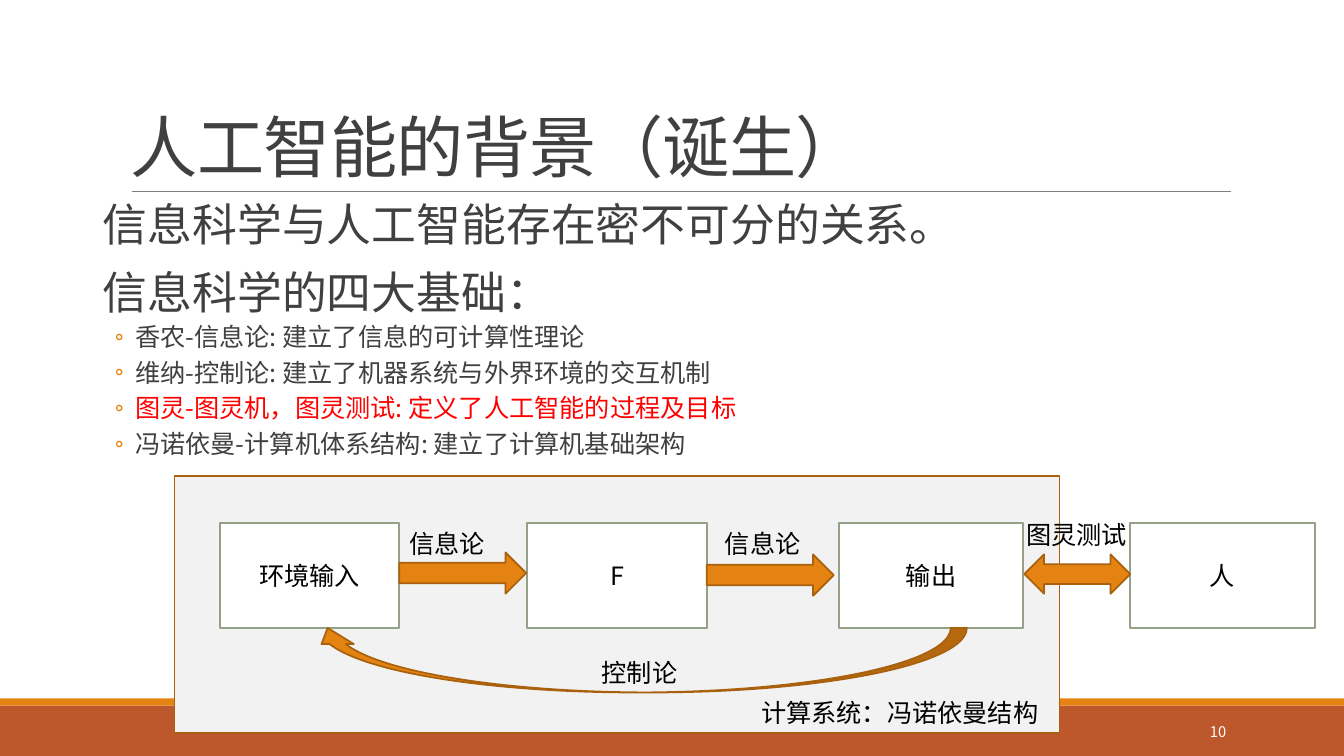
import pptx
import pptx.util
import pptx.dml.color
import pptx.enum.shapes
import pptx.enum.text
import pptx.oxml
import pptx.oxml.ns
import lxml.etree

PX = 9144  # EMU in one px, 100 px to the inch
KIND = pptx.enum.shapes.MSO_SHAPE
ALIGN = pptx.enum.text.PP_ALIGN
ANCHOR = pptx.enum.text.MSO_ANCHOR
FONT = "Noto Sans CJK SC"
ORANGE, RUST, EDGE, SAGE = "E48312", "BD582C", "A9610D", "94A088"
INK, GREY, RED, WHITE = "000000", "404040", "FF0000", "FFFFFF"


def px(num):
    return pptx.util.Emu(num * PX)


def rgb(code):
    return pptx.dml.color.RGBColor.from_string(code)


def child(node, tag, **attrs):
    return lxml.etree.SubElement(node, pptx.oxml.ns.qn(tag), attrs)


class Page:
    def __init__(self, deck):
        self.slide = deck.slides.add_slide(deck.slide_layouts[6])
        self.shapes = self.slide.shapes

    def style(self, para, size, color, align=ALIGN.LEFT):
        para.alignment = align
        for run in para.runs:
            run.font.size = pptx.util.Pt(size)
            run.font.name = FONT
            run.font.color.rgb = rgb(color)
            child(run.font._element, "a:ea", typeface=FONT)

    def shape(self, kind, area, fill, edge=None):
        item = self.shapes.add_shape(kind, *map(px, area))
        item.shadow.inherit = False
        item.fill.solid()
        item.fill.fore_color.rgb = rgb(fill)
        if edge:
            item.line.color.rgb = rgb(edge)
            item.line.width = pptx.util.Pt(1.25)
        else:
            item.line.fill.background()
        return item

    def box(self, text, left, width):
        item = self.shape(KIND.RECTANGLE, (left, 519, width, 104), WHITE, SAGE)
        item.text_frame.text = text
        item.text_frame.vertical_anchor = ANCHOR.MIDDLE
        self.style(item.text_frame.paragraphs[0], 18, INK, ALIGN.CENTER)

    def arrow(self, kind, *area):
        return self.shape(kind, area, ORANGE, EDGE)

    def rule(self, left, right, top):
        line = self.shapes.add_connector(
            pptx.enum.shapes.MSO_CONNECTOR.STRAIGHT,
            px(left), px(top), px(right), px(top))
        line.line.color.rgb = rgb("808080")
        line.line.width = pptx.util.Pt(0.5)
        child(line._element.spPr, "a:effectLst")

    def text(self, text, area, size=18, color=INK, wrap=False,
             anchor=ANCHOR.TOP, align=ALIGN.LEFT):
        frame = self.shapes.add_textbox(*map(px, area)).text_frame
        frame.word_wrap = wrap
        frame.vertical_anchor = anchor
        frame.text = text
        self.style(frame.paragraphs[0], size, color, align)
        return frame

    def body(self, area, rows):
        frame = self.shapes.add_textbox(*map(px, area)).text_frame
        frame.word_wrap = True
        frame.margin_left = frame.margin_right = 0
        for num, (text, point, color) in enumerate(rows):
            para = frame.add_paragraph() if num else frame.paragraphs[0]
            para.text = text
            para.line_spacing = 0.9
            before, after = (2, 4) if point else (12, 2)
            para.space_before = pptx.util.Pt(before if num else 0)
            para.space_after = pptx.util.Pt(after)
            props = para._element.get_or_add_pPr()
            props.set("marL", str(px(42 if point else 10)))
            props.set("indent", str(px(-20 if point else 0)))
            if point:
                tint = child(props, "a:buClr")
                child(tint, "a:srgbClr", val=ORANGE)
                child(props, "a:buFont", typeface="Calibri")
                child(props, "a:buChar", char="◦")
            self.style(para, 18 if point else 32, color)
            if point:
                # Bullets sit left of the text by the hanging indent
                para.level = 1


def main():
    deck = pptx.Presentation()
    deck.slide_width, deck.slide_height = px(1333), px(750)
    page = Page(deck)

    # Footer bands, title rule and system panel
    page.shape(KIND.RECTANGLE, (0, 700, 1333, 50), RUST)
    page.shape(KIND.RECTANGLE, (0, 693, 1333, 7), ORANGE)
    page.rule(131, 1221, 190)
    page.shape(KIND.RECTANGLE, (173, 472, 878, 255), "F2F2F2", EDGE)

    # Title and body
    title = page.text("人工智能的背景（诞生）", (120, 31, 1100, 159), 48, GREY,
                      True, ANCHOR.BOTTOM).paragraphs[0]
    title.line_spacing = 0.85
    title.runs[0].font._element.set("spc", "-50")
    page.body((92, 196, 1150, 499), [
        ("信息科学与人工智能存在密不可分的关系。", False, GREY),
        ("信息科学的四大基础：", False, GREY),
        ("香农-信息论: 建立了信息的可计算性理论", True, GREY),
        ("维纳-控制论: 建立了机器系统与外界环境的交互机制", True, GREY),
        ("图灵-图灵机，图灵测试: 定义了人工智能的过程及目标", True, RED),
        ("冯诺依曼-计算机体系结构: 建立了计算机基础架构", True, GREY),
    ])

    # Flow boxes
    for text, left, width in [("环境输入", 218, 178), ("F", 523, 178),
                              ("输出", 832, 183), ("人", 1121, 183)]:
        page.box(text, left, width)

    # Arrows
    page.arrow(KIND.RIGHT_ARROW, 396, 548, 126, 41)
    page.arrow(KIND.RIGHT_ARROW, 701, 550, 126, 41)
    page.arrow(KIND.LEFT_RIGHT_ARROW, 1016, 550, 105, 39)
    back = page.arrow(KIND.CURVED_UP_ARROW, 309, 623, 650, 64)
    back._element.spPr.find(pptx.oxml.ns.qn("a:xfrm")).set("flipH", "1")

    # Labels
    for text, left, top, width in [
            ("信息论", 396, 519, 95), ("信息论", 709, 519, 95),
            ("控制论", 587, 647, 96), ("图灵测试", 1008, 510, 120),
            ("计算系统：冯诺依曼结构", 745, 687, 295)]:
        page.text(text, (left, top, width, 40))

    # Page number
    page.text("10", (1083, 706, 143, 40), 10.5, WHITE, True,
              ANCHOR.MIDDLE, ALIGN.RIGHT)

    deck.save("out.pptx")


if __name__ == "__main__":
    main()
